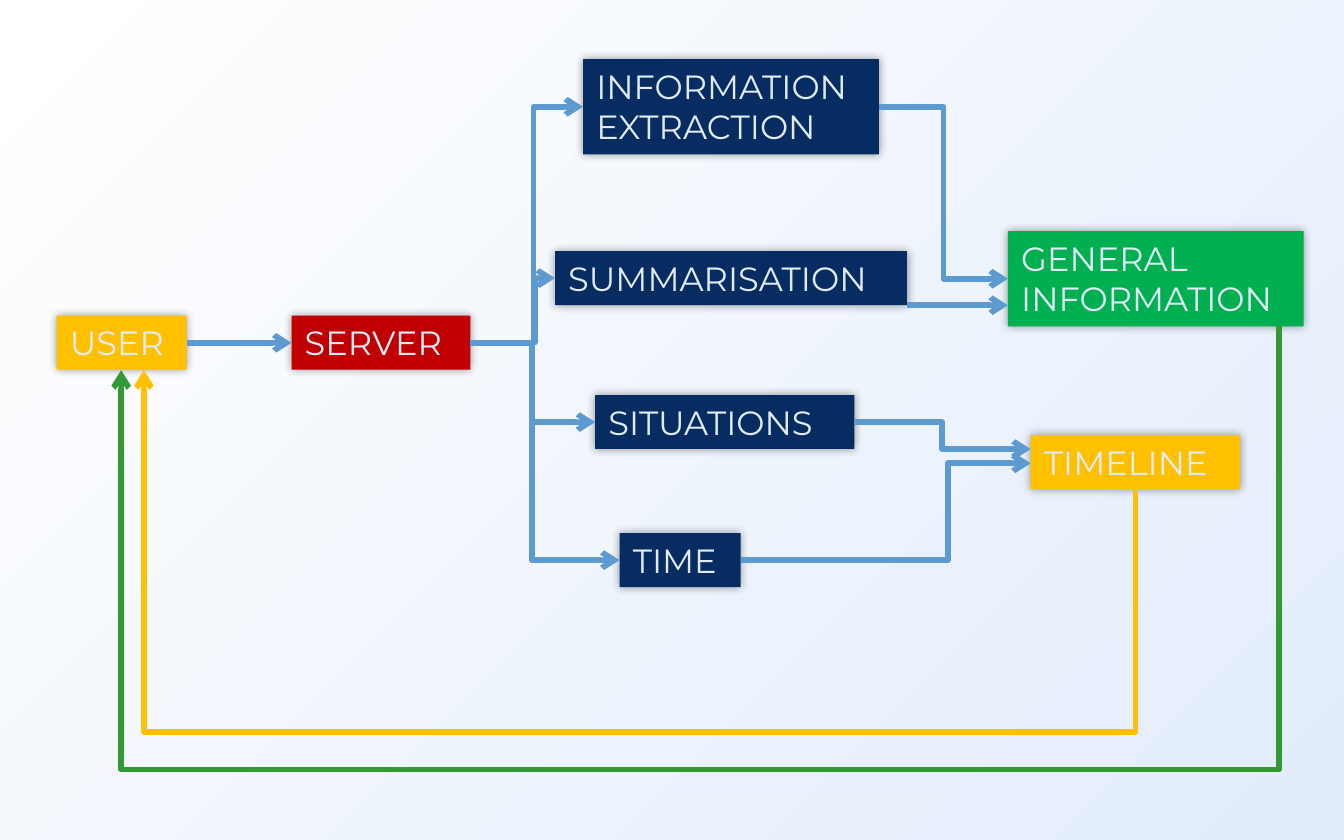
from lxml import etree
from pptx import Presentation
from pptx.dml.color import RGBColor
from pptx.enum.shapes import MSO_CONNECTOR
from pptx.oxml.ns import qn
from pptx.util import Cm, Pt

STRAIGHT, ELBOW = MSO_CONNECTOR.STRAIGHT, MSO_CONNECTOR.ELBOW
FONT = "Montserrat"
PALE, NAVY, YELLOW, RED = "E0EBF6", "072C62", "FFC000", "C00000"
GREEN, DARK_GREEN, BLUE = "00B050", "339933", "5D9ACF"
BACKGROUND = ("FFFFFF", "E2ECFA")
TOP, LEFT, BOTTOM, RIGHT = range(4)

# label lines, left, top, width, fill
BOXES = {
    "user": (["USER"], 1.07, 5.97, 2.46, YELLOW),
    "server": (["SERVER"], 5.51, 5.97, 3.38, RED),
    "extraction": (["INFORMATION", "EXTRACTION"], 11.02, 1.12, 5.59, NAVY),
    "summarisation": (["SUMMARISATION"], 10.49, 4.75, 6.65, NAVY),
    "situations": (["SITUATIONS"], 11.25, 7.47, 4.9, NAVY),
    "time": (["TIME"], 11.71, 10.08, 2.29, NAVY),
    "general": (["GENERAL", "INFORMATION"], 19.05, 4.37, 5.59, GREEN),
    "timeline": (["TIMELINE"], 19.48, 8.23, 3.96, YELLOW),
}
ELBOWS = [
    ("extraction", "general", 17.83, 0),
    ("server", "extraction", 10.08, 0),
    ("server", "summarisation", 10.11, 0),
    ("server", "situations", 10.06, 0),
    ("server", "time", 10.06, 0),
    ("situations", "timeline", 17.81, -0.25),
    ("time", "timeline", 17.91, 0.02),
]
LOOPS = [
    (DARK_GREEN, [(24.17, 6.17), (24.17, 14.55), (2.29, 14.55), (2.29, 7)]),
    (YELLOW, [(21.46, 9.26), (21.46, 13.84), (2.72, 13.84), (2.72, 7)]),
]


def rgb(value):
    """Turn a hex string into a colour."""
    return RGBColor.from_string(value)


def paint_background(slide):
    """Spread the background gradient from the top left corner."""
    fill = slide.background.fill
    fill.gradient()
    for stop, color in zip(fill.gradient_stops, BACKGROUND):
        stop.color.rgb = rgb(color)
    gradient = slide.element.find(".//" + qn("a:gradFill"))
    gradient.remove(gradient.find(qn("a:lin")))
    path = etree.SubElement(gradient, qn("a:path"), path="circle")
    etree.SubElement(path, qn("a:fillToRect"), r="100000", b="100000")


def add_box(slide, lines, left, top, width, color):
    """Add a labelled box with a soft glow-like shadow."""
    height = 0.24 + 0.78 * len(lines)
    box = slide.shapes.add_textbox(Cm(left), Cm(top), Cm(width), Cm(height))
    box.fill.solid()
    box.fill.fore_color.rgb = rgb(color)
    effects = etree.SubElement(box.element.spPr, qn("a:effectLst"))
    shadow = etree.SubElement(effects, qn("a:outerShdw"), blurRad=str(Pt(5)))
    tint = etree.SubElement(shadow, qn("a:srgbClr"), val="000000")
    etree.SubElement(tint, qn("a:alpha"), val="40000")
    frame = box.text_frame
    frame.word_wrap = True
    frame.text = "\n".join(lines)
    for paragraph in frame.paragraphs:
        paragraph.font.name = FONT
        paragraph.font.size = Pt(18)
        paragraph.font.color.rgb = rgb(PALE)
    return box


def style_arrow(shape, color):
    """Give a line its colour, width and arrowhead, without a shadow."""
    shape.line.color.rgb = rgb(color)
    shape.line.width = Pt(3)
    properties = shape.element.spPr
    etree.SubElement(properties.find(qn("a:ln")), qn("a:tailEnd"), type="arrow")
    etree.SubElement(properties, qn("a:effectLst"))


def add_elbow(slide, source, target, trunk, offset):
    """Add a bent arrow that turns at the trunk position."""
    start = source.left + source.width
    end = target.left
    arrow = slide.shapes.add_connector(
        ELBOW, start, source.top + source.height // 2,
        end, target.top + target.height // 2 + Cm(offset))
    share = round((Cm(trunk) - start) / (end - start) * 100000)
    guides = arrow.element.spPr.find(".//" + qn("a:avLst"))
    etree.SubElement(guides, qn("a:gd"), name="adj1", fmla=f"val {share}")
    style_arrow(arrow, BLUE)


def add_loop(slide, color, points):
    """Add a return arrow through the given points."""
    start, *rest = [(Cm(x), Cm(y)) for x, y in points]
    builder = slide.shapes.build_freeform(*start)
    builder.add_line_segments(rest, close=False)
    loop = builder.convert_to_shape()
    loop.fill.background()
    style_arrow(loop, color)


def main():
    """Build the flow diagram slide."""
    presentation = Presentation()
    presentation.slide_width = Cm(25.4)
    presentation.slide_height = Cm(15.88)
    slide = presentation.slides.add_slide(presentation.slide_layouts[6])
    paint_background(slide)
    boxes = {name: add_box(slide, *box) for name, box in BOXES.items()}

    for color, points in LOOPS:
        add_loop(slide, color, points)

    request = slide.shapes.add_connector(STRAIGHT, 0, 0, 0, 0)
    request.begin_connect(boxes["user"], RIGHT)
    request.end_connect(boxes["server"], LEFT)
    style_arrow(request, BLUE)

    for source, target, trunk, offset in ELBOWS:
        add_elbow(slide, boxes[source], boxes[target], trunk, offset)

    summary = boxes["summarisation"]
    bottom = summary.top + summary.height
    result = slide.shapes.add_connector(
        STRAIGHT, summary.left + summary.width, bottom,
        boxes["general"].left, bottom)
    style_arrow(result, BLUE)

    presentation.save("out.pptx")


if __name__ == "__main__":
    main()
